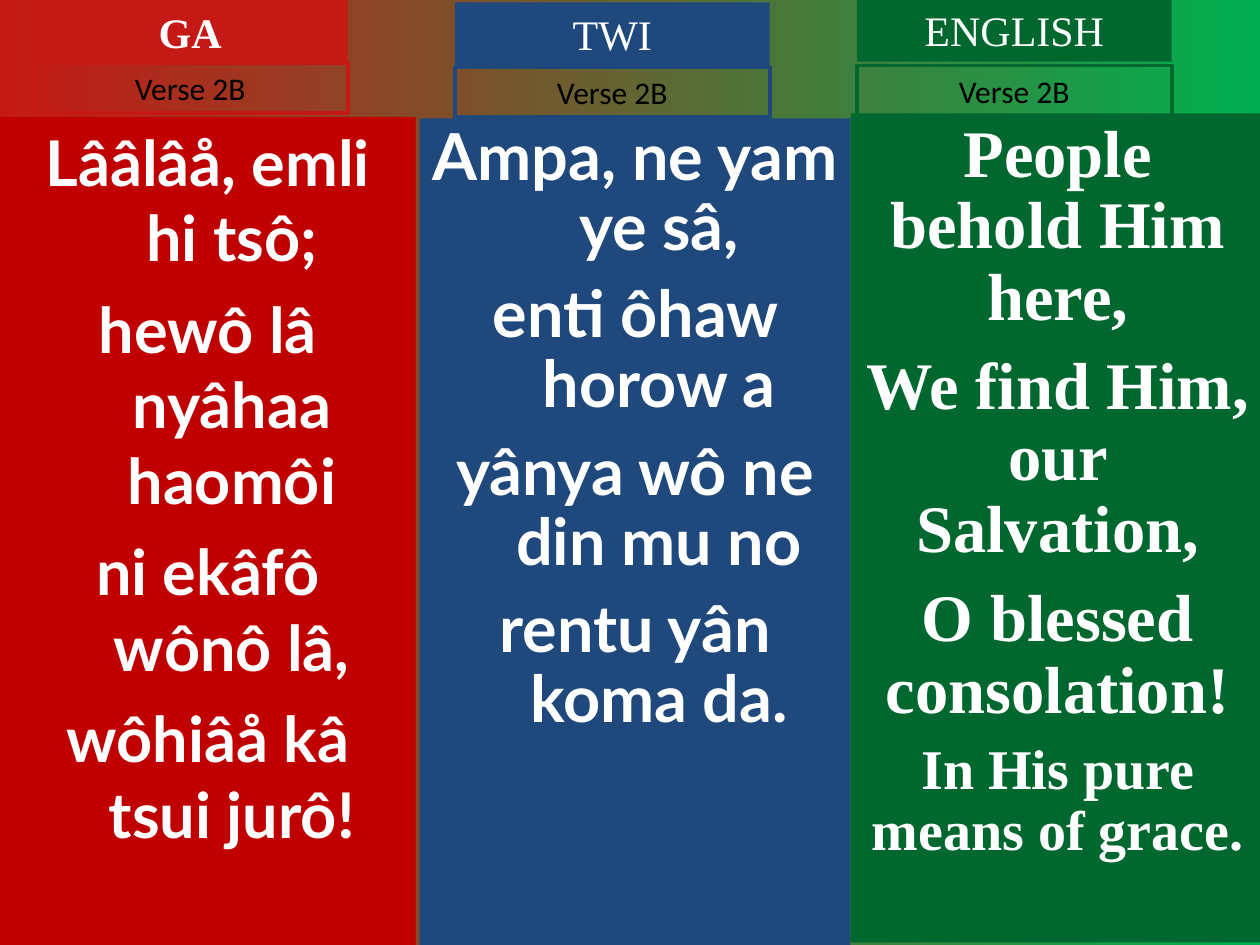
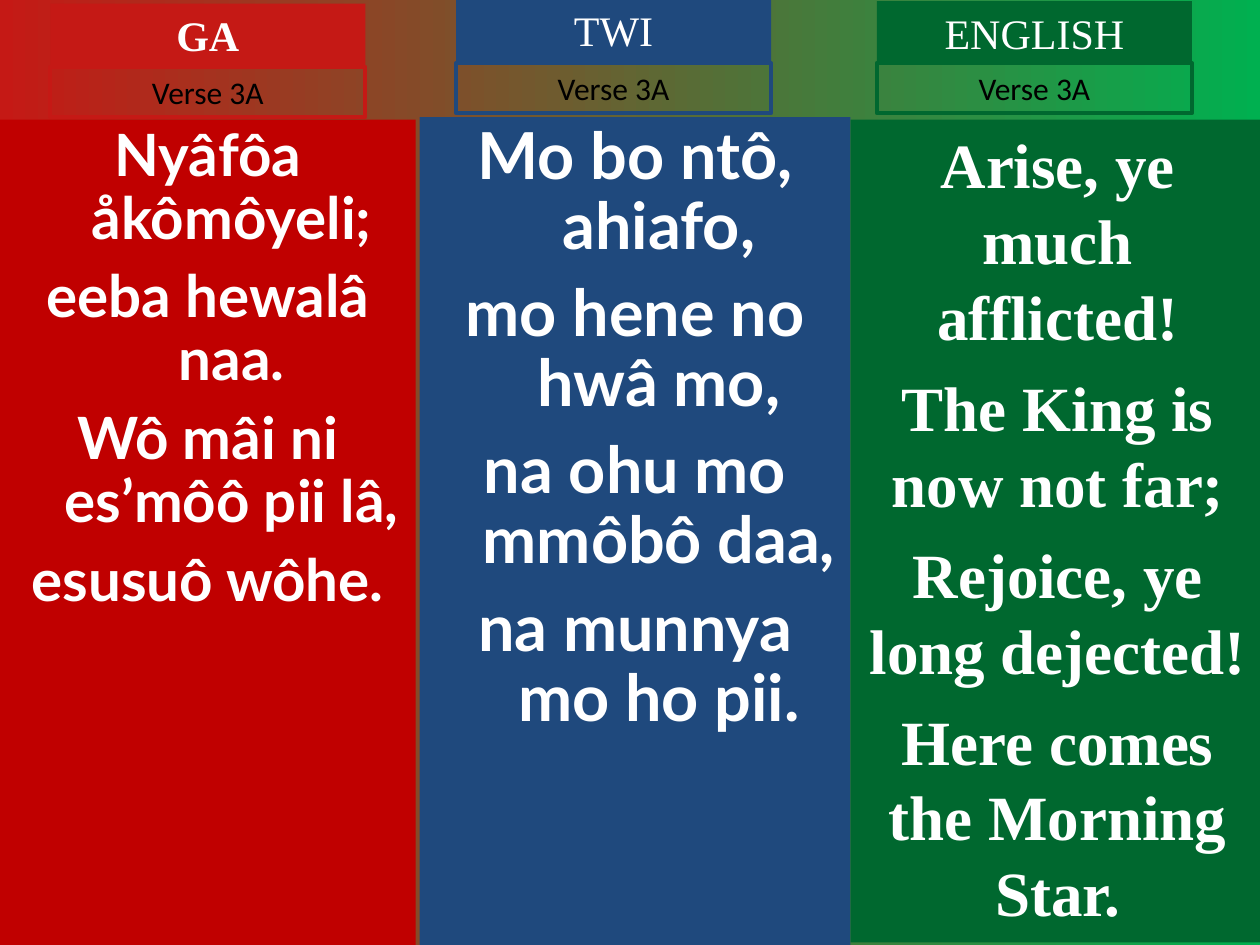
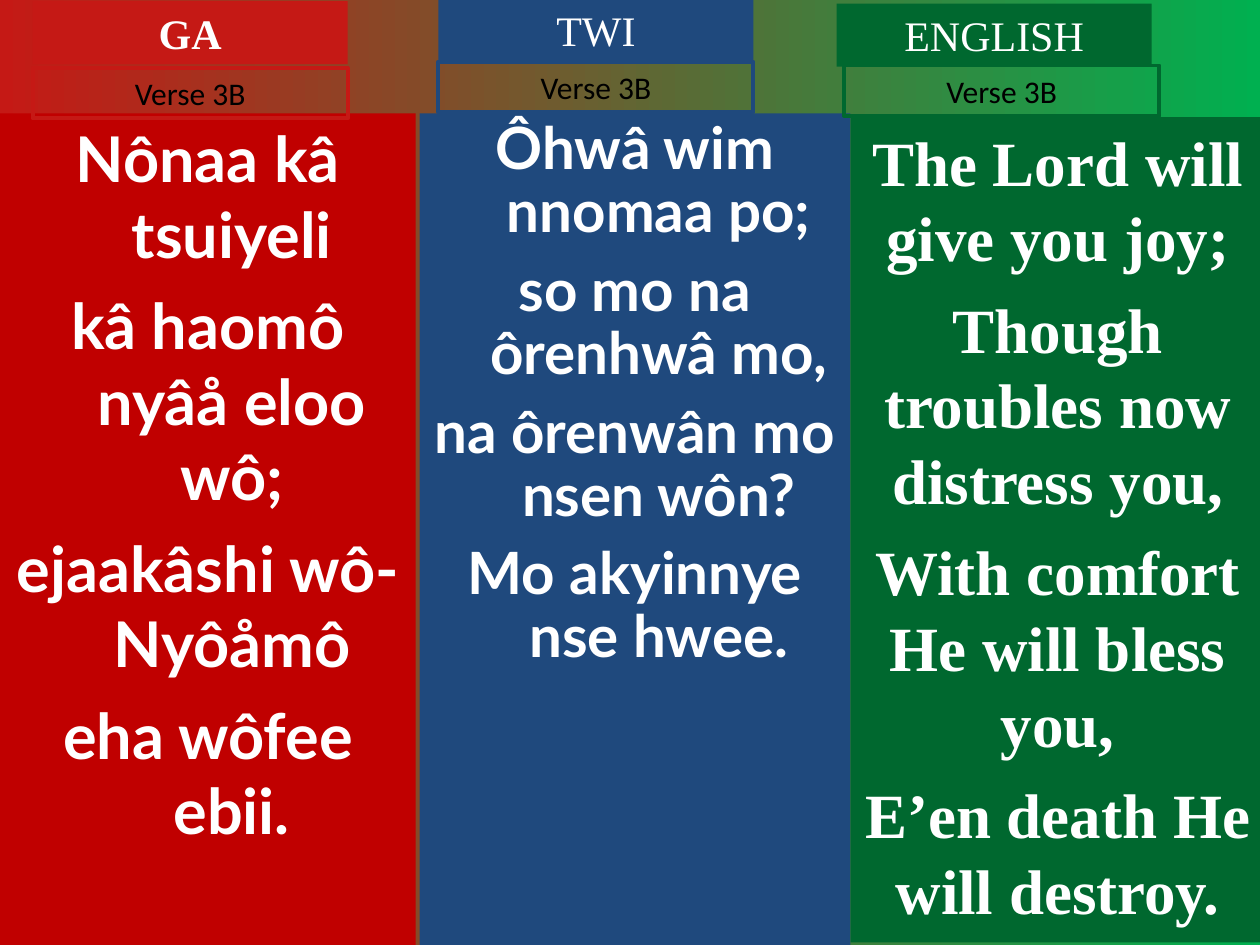
"""Build three hymn slides with the verses side by side in Ga, Twi and English."""
from pptx import Presentation
from pptx.dml.color import RGBColor
from pptx.enum.shapes import MSO_SHAPE
from pptx.enum.text import MSO_ANCHOR, MSO_AUTO_SIZE, PP_ALIGN
from pptx.util import Inches, Pt

COLORS = {
    "red": "C51915", "dark_red": "C00000", "blue": "1F497D",
    "green": "00682F", "bright_green": "00B050",
    "white": "FFFFFF", "black": "000000",
}
GAPS = {32: 8, 33.3: 9, 36: 9, 37: 10, 38: 9.5}
SERIF = "Times New Roman"
LANGUAGES = [
    dict(name="GA", bold=True, header="red", body="dark_red",
         left=0, width=3.3, bottom=7.5, font="Lato", hanging=0.38),
    dict(name="TWI", bold=False, header="blue", body="blue",
         left=3.33, width=3.42, bottom=7.5, font="Lato", hanging=0.38),
    dict(name="ENGLISH", bold=False, header="green", body="green",
         left=6.75, width=3.29, bottom=7.48, font=SERIF, hanging=0),
]
VERSES = [
    ("Verse 2B", [
        dict(top=0.93, title=(0.26, 0), label=(0.26, 0.5), sizes=[36] * 4, spacing=1,
             lines=["Lââlâå, emli hi tsô;", "hewô lâ nyâhaa haomôi",
                    "ni ekâfô wônô lâ,", "wôhiâå kâ tsui jurô!"]),
        dict(top=0.94, title=(3.61, 0.02), label=(3.61, 0.53), sizes=[37] * 4, spacing=0.9,
             lines=["Ampa, ne yam ye sâ,", "enti ôhaw horow a",
                    "yânya wô ne din mu no", "rentu yân koma da."]),
        dict(top=0.9, title=(6.8, -0.01), label=(6.8, 0.52), sizes=[38, 38, 38, 32], spacing=0.9,
             lines=["People behold Him here,", "We find Him, our Salvation,",
                    "O blessed consolation!", "In His pure means of grace."]),
    ]),
    ("Verse 3A", [
        dict(top=0.95, title=(0.4, 0.03), label=(0.4, 0.53), sizes=[33.3] * 4, spacing=0.9,
             lines=["Nyâfôa åkômôyeli;", "eeba hewalâ naa.",
                    "Wô mâi ni es’môô pii lâ,", "esusuô wôhe."]),
        dict(top=0.93, title=(3.62, -0.01), label=(3.62, 0.5), sizes=[37] * 4, spacing=0.9,
             lines=["Mo bo ntô, ahiafo,", "mo hene no hwâ mo,",
                    "na ohu mo mmôbô daa,", "na munnya mo ho pii."]),
        dict(top=0.95, title=(6.96, 0.01), label=(6.96, 0.5), sizes=[36] * 4, spacing=1,
             lines=["Arise, ye much afflicted!", "The King is now not far;",
                    "Rejoice, ye long dejected!", "Here comes the Morning Star."]),
    ]),
    ("Verse 3B", [
        dict(top=0.9, title=(0.26, 0.01), label=(0.26, 0.54), sizes=[36] * 4, spacing=1,
             lines=["Nônaa kâ tsuiyeli", "kâ haomô nyâå eloo wô;",
                    "ejaakâshi wô-Nyôåmô", "eha wôfee ebii."]),
        dict(top=0.9, title=(3.48, -0.01), label=(3.48, 0.49), sizes=[33.3] * 4, spacing=0.9,
             lines=["Ôhwâ wim nnomaa po;", "so mo na ôrenhwâ mo,",
                    "na ôrenwân mo nsen wôn?", "Mo akyinnye nse hwee."]),
        dict(top=0.93, title=(6.64, 0.03), label=(6.7, 0.52), sizes=[36] * 4, spacing=1,
             lines=["The Lord will give you joy;", "Though troubles now distress you,",
                    "With comfort He will bless you,", "E’en death He will destroy."]),
    ]),
]


def rgb(name):
    return RGBColor.from_string(COLORS[name])


def add_text(s, lines, left, top, width, height, sizes, font=SERIF, color="white",
             bold=False, fill=None, line=None, grow=False, hanging=0, spacing=1):
    sp = s.shapes.add_shape(MSO_SHAPE.RECTANGLE, Inches(left), Inches(top),
                            Inches(width), Inches(height))
    sp.shadow.inherit = False
    if fill:
        sp.fill.solid()
        sp.fill.fore_color.rgb = rgb(fill)
    else:
        sp.fill.background()
    if line:
        sp.line.color.rgb = rgb(line)
        sp.line.width = Pt(2.25)
    else:
        sp.line.fill.background()
    tf = sp.text_frame
    tf.word_wrap = True
    tf.vertical_anchor = MSO_ANCHOR.TOP
    tf.auto_size = MSO_AUTO_SIZE.SHAPE_TO_FIT_TEXT if grow else MSO_AUTO_SIZE.NONE
    for i, (text, size) in enumerate(zip(lines, sizes)):
        p = tf.add_paragraph() if i else tf.paragraphs[0]
        p.alignment = PP_ALIGN.CENTER
        p.line_spacing = float(spacing)
        if i:
            p.space_before = Pt(GAPS[size])
        if hanging:
            pPr = p._p.get_or_add_pPr()
            pPr.set("marL", str(Inches(hanging)))
            pPr.set("indent", str(-Inches(hanging)))
        r = p.add_run()
        r.text = text
        r.font.name = font
        r.font.size = Pt(size)
        r.font.bold = bold
        r.font.color.rgb = rgb(color)


prs = Presentation()
prs.slide_width = Inches(10)
prs.slide_height = Inches(7.5)

for verse, columns in VERSES:
    s = prs.slides.add_slide(prs.slide_layouts[6])
    background = s.background.fill
    background.gradient()
    background.gradient_angle = 0
    for stop, color in zip(background.gradient_stops, ("red", "bright_green")):
        stop.color.rgb = rgb(color)

    for lang, col in zip(LANGUAGES, columns):
        add_text(s, col["lines"], lang["left"], col["top"], lang["width"],
                 lang["bottom"] - col["top"], col["sizes"], font=lang["font"], bold=True,
                 fill=lang["body"], hanging=lang["hanging"], spacing=col["spacing"])
        add_text(s, [lang["name"]], *col["title"], 2.5, 0.5, [24],
                 bold=lang["bold"], fill=lang["header"], grow=True)
        add_text(s, [verse], *col["label"], 2.5, 0.4, [18], font="Calibri",
                 color="black", line=lang["header"], grow=True)

prs.save("out.pptx")
